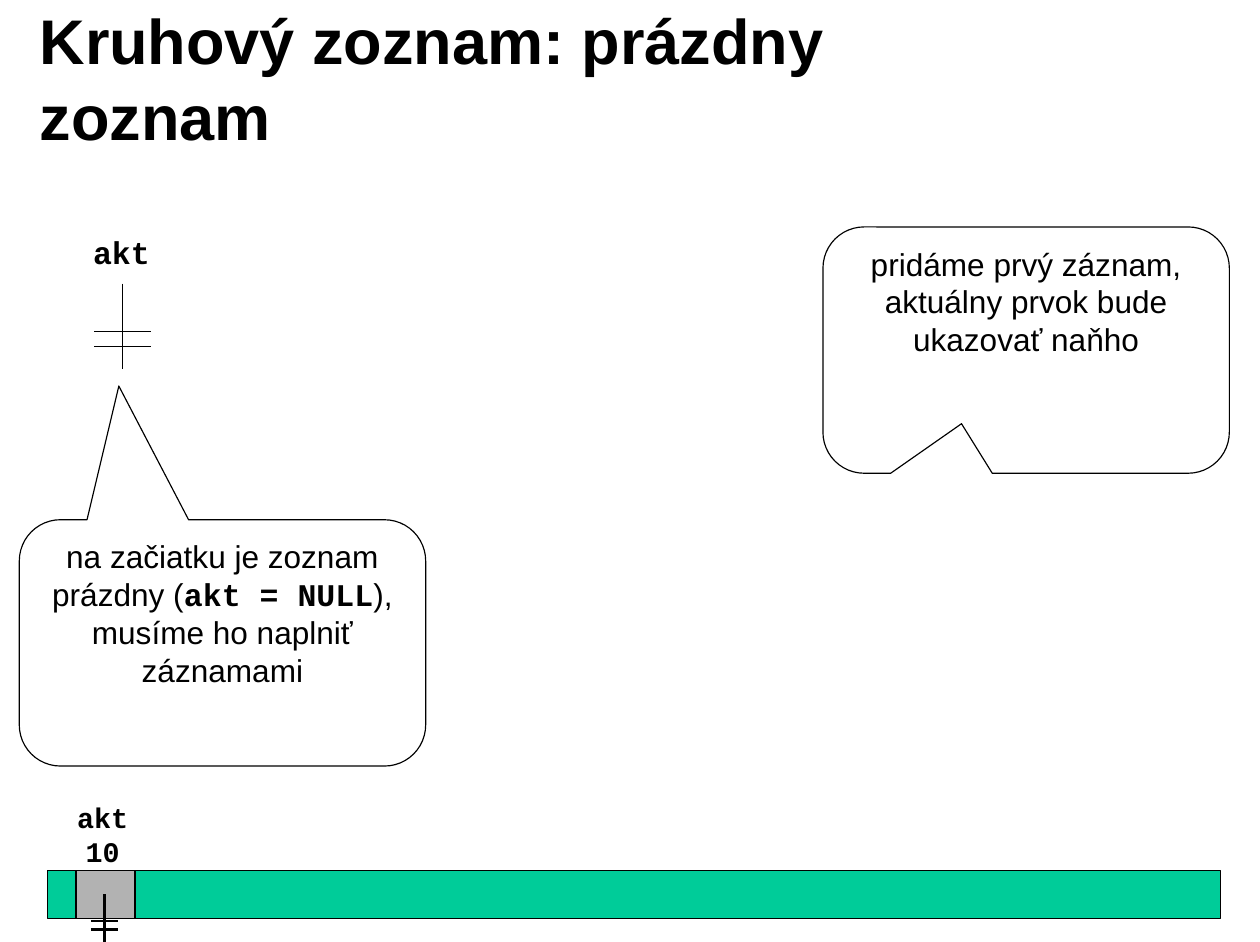
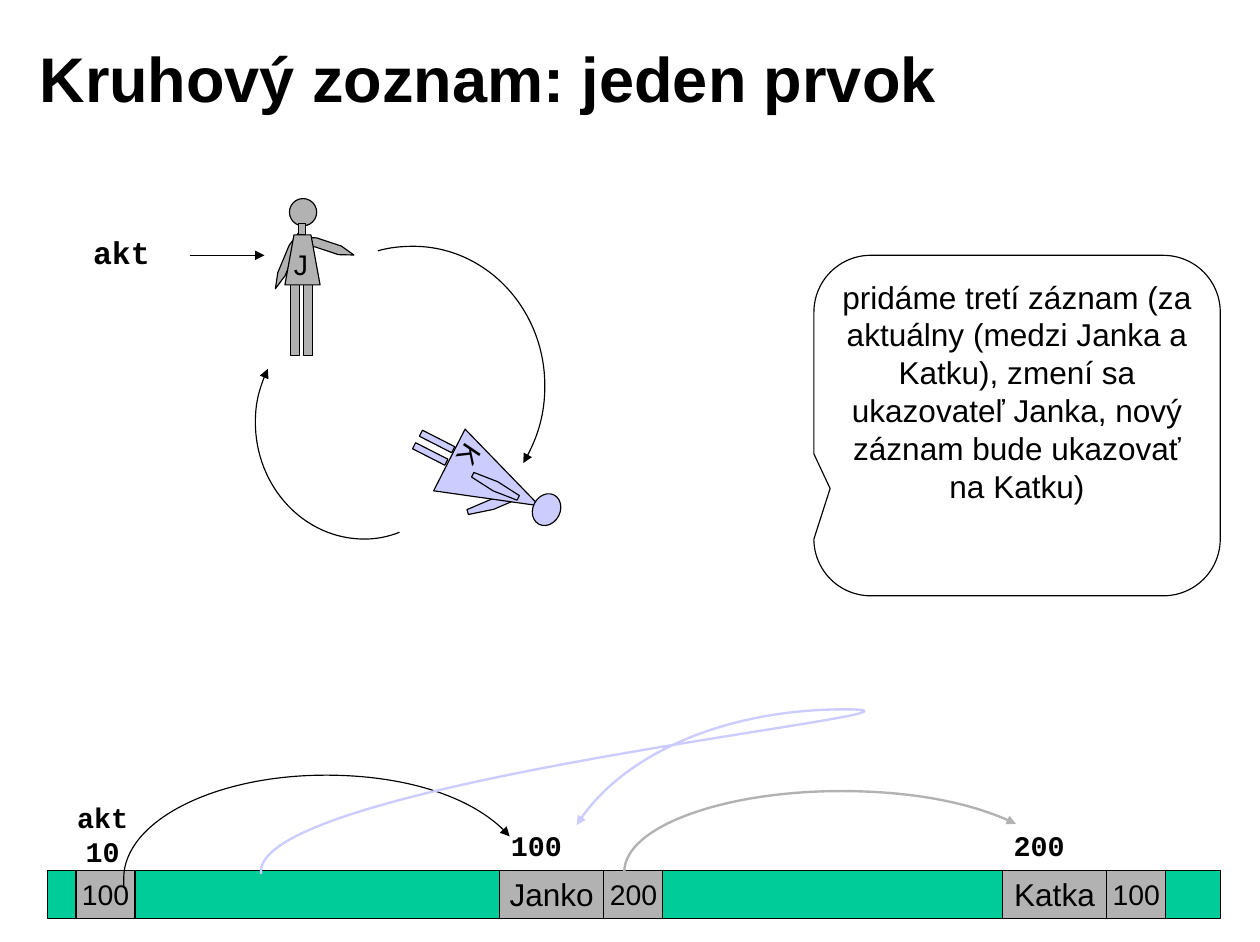
"""Builds two slides on a circular linked list and its memory layout."""
from pptx import Presentation, util as u
from pptx.dml.color import RGBColor
from pptx.enum import shapes as kinds, text
from pptx.oxml import ns, xmlchemy

COLORS = {"ink": "000000", "paper": "FFFFFF", "memory": "00CC99",
          "gray": "B2B2B2", "lavender": "CCCCFF"}
SANS, CODE = "Arial", "Courier New"
SHAPE = kinds.MSO_SHAPE
CELL_TOP, CELL_HEIGHT, NAME_WIDTH, LINK_WIDTH = 7.67, 0.42, 0.92, 0.52


def color(name):
    return RGBColor.from_string(COLORS[name])


def write(box, words, size=20, font=SANS, bold=False, wrap=True,
          align=text.PP_ALIGN.CENTER, anchor=text.MSO_ANCHOR.TOP):
    frame = box.text_frame
    frame.word_wrap = wrap
    frame.vertical_anchor = anchor
    for number, line in enumerate(words.split("\n")):
        para = frame.paragraphs[0] if number == 0 else frame.add_paragraph()
        para.alignment = align
        for index, piece in enumerate(line.split("`")):
            is_code = index % 2 == 1
            span = para.add_run()
            span.text = piece
            span.font.size = u.Pt(size)
            span.font.name = CODE if is_code else font
            span.font.bold = bold or is_code
            span.font.color.rgb = color("ink")


def outline(shape, ink="ink", weight=0.75, arrow=False):
    shape.line.color.rgb = color(ink)
    shape.line.width = u.Pt(weight)
    if arrow:
        end = xmlchemy.OxmlElement("a:tailEnd")
        end.set("type", "triangle")
        shape.element.spPr.get_or_add_ln().append(end)


def paint(shape, fill, turn=0):
    shape.shadow.inherit = False
    shape.fill.solid()
    shape.fill.fore_color.rgb = color(fill)
    shape.rotation = turn
    outline(shape)
    return shape


def add_part(host, kind, at, fill, turn=0, adjust=()):
    shape = host.shapes.add_shape(kind, *map(u.Inches, at))
    for index, value in enumerate(adjust):
        shape.adjustments[index] = value
    return paint(shape, fill, turn)


def add_text(host, at, words, turn=0, **style):
    box = host.shapes.add_textbox(*map(u.Inches, at))
    box.rotation = turn
    write(box, words, **style)
    return box


def add_label(host, at, words, size=18):
    add_text(host, at, words, size=size, font=CODE, bold=True, wrap=False)


def add_callout(page, at, tip, words):
    shape = add_part(page, SHAPE.ROUNDED_RECTANGULAR_CALLOUT, at, "paper",
                     adjust=(*tip, 0.167))
    write(shape, words)


def add_line(host, start, end, weight=0.75, arrow=False):
    line = host.shapes.add_connector(kinds.MSO_CONNECTOR.STRAIGHT,
                                     *map(u.Inches, (*start, *end)))
    outline(line, weight=weight, arrow=arrow)
    line.element.spPr.append(xmlchemy.OxmlElement("a:effectLst"))


def add_outline(host, points, close):
    corners = [tuple(map(u.Inches, point)) for point in points]
    builder = host.shapes.build_freeform(*corners[0])
    builder.add_line_segments(corners[1:], close=close)
    return builder.convert_to_shape()


def add_curve(page, points, ink="ink", weight=0.75):
    """Draw an arrow along cubic curves, three points after the start for each."""
    shape = add_outline(page, points, close=False)
    shape.shadow.inherit = False
    shape.fill.background()
    outline(shape, ink, weight, arrow=True)
    steps = list(shape.element.iter(ns.qn("a:lnTo")))
    for first in range(0, len(steps), 3):
        cubic = xmlchemy.OxmlElement("a:cubicBezTo")
        steps[first].addprevious(cubic)
        for step in steps[first:first + 3]:
            cubic.append(step[0])
            step.getparent().remove(step)


def add_null(page, x, top, bottom, reach, weight):
    sign = page.shapes.add_group_shape()
    add_line(sign, (x, top), (x, bottom), weight)
    for share in (0.56, 0.74):
        y = top + share * (bottom - top)
        add_line(sign, (x - reach, y), (x + reach, y), weight)


def add_cell(host, left, width, words="", size=18):
    cell = add_part(host, SHAPE.RECTANGLE, (left, CELL_TOP, width, CELL_HEIGHT), "gray")
    if words:
        write(cell, words, size=size, wrap=False, anchor=text.MSO_ANCHOR.MIDDLE)


def add_record(page, left, name, link, address):
    record = page.shapes.add_group_shape()
    add_cell(record, left, NAME_WIDTH, name, size=20)
    add_cell(record, left + NAME_WIDTH, LINK_WIDTH, link)
    add_label(record, (left, 7.25, 0.65, 0.4), address)


def add_page(deck, title, link=""):
    page = deck.slides.add_slide(deck.slide_layouts[6])
    add_text(page, (0.25, 0.17, 8.91, 1.02), title, size=40, bold=True,
             align=text.PP_ALIGN.LEFT, anchor=text.MSO_ANCHOR.MIDDLE)
    add_label(page, (0.72, 2, 0.7, 0.44), "akt", size=20)
    add_part(page, SHAPE.RECTANGLE, (0.42, CELL_TOP, 10.33, CELL_HEIGHT), "memory")
    add_cell(page, 0.67, LINK_WIDTH, link)
    add_label(page, (0.58, 7, 0.65, 0.7), "akt\n10")
    return page


def add_katka(page):
    figure = page.shapes.add_group_shape()
    for kind, at, turn in (
            (SHAPE.HEXAGON, (4.29, 4.22, 0.09, 0.45), 72.6),
            (SHAPE.ISOSCELES_TRIANGLE, (4.05, 3.81, 0.61, 0.89), 117),
            (SHAPE.HEXAGON, (4.32, 4.06, 0.09, 0.45), 117),
            (SHAPE.OVAL, (4.67, 4.37, 0.29, 0.24), 117),
            (SHAPE.RECTANGLE, (3.82, 3.73, 0.06, 0.32), 117),
            (SHAPE.RECTANGLE, (3.76, 3.84, 0.06, 0.32), 117)):
        add_part(figure, kind, at, "lavender", turn)
    add_text(page, (3.96, 3.81, 0.36, 0.4), "K", turn=124, size=18, wrap=False)


def add_janko(page):
    figure = page.shapes.add_group_shape()
    add_part(figure, SHAPE.HEXAGON, (2.26, 2.26, 0.54, 0.07), "gray", 292.6, (1.99,))
    add_part(figure, SHAPE.HEXAGON, (2.64, 2.13, 0.49, 0.08), "gray", 18.3, (1.62,))
    add_part(figure, SHAPE.OVAL, (2.55, 1.75, 0.24, 0.24), "gray")
    for leg in (2.56, 2.67):
        add_part(figure, SHAPE.RECTANGLE, (leg, 2.46, 0.08, 0.67), "gray")
    add_part(figure, SHAPE.RECTANGLE, (2.63, 1.97, 0.06, 0.1), "gray")
    body = [(2.51, 2.51), (2.59, 2.07), (2.74, 2.07), (2.82, 2.51)]
    paint(add_outline(figure, body, close=True), "gray")
    add_text(page, (2.49, 2.13, 0.32, 0.4), "J", size=18, wrap=False)


def build_empty_list(deck):
    page = add_page(deck, "Kruhový zoznam: prázdny zoznam")
    add_null(page, 1.08, 2.5, 3.25, reach=0.25, weight=0.75)
    add_null(page, 0.92, 7.88, 8.3, reach=0.12, weight=1.5)
    add_callout(page, (0.17, 4.58, 3.58, 2.17), (-0.255, -1.043),
                "na začiatku je zoznam prázdny (`akt = NULL`), "
                "musíme ho naplniť záznamami")
    add_callout(page, (7.25, 2, 3.58, 2.17), (-0.159, 0.299),
                "pridáme prvý záznam, aktuálny prvok bude ukazovať naňho")


def build_linked_list(deck):
    page = add_page(deck, "Kruhový zoznam: jeden prvok", link="100")
    add_katka(page)
    add_janko(page)
    add_line(page, (1.67, 2.25), (2.33, 2.25), arrow=True)
    add_record(page, 4.4, "Janko", "200", "100")
    add_record(page, 8.83, "Katka", "100", "200")
    add_curve(page, [(1.09, 7.82), (1.09, 7.8), (1.09, 7.77), (1.09, 7.74),
                     (1.09, 7.24), (1.88, 6.83), (2.87, 6.83),
                     (3.57, 6.83), (4.21, 7.04), (4.49, 7.37)])
    add_curve(page, [(5.51, 7.75), (5.51, 7.73), (5.5, 7.7), (5.5, 7.68),
                     (5.5, 7.29), (6.36, 6.97), (7.41, 6.97),
                     (8.02, 6.97), (8.59, 7.08), (8.95, 7.26)], "gray", 1.5)
    add_curve(page, [(3.52, 4.69), (3.42, 4.73), (3.32, 4.75), (3.21, 4.75),
                     (2.68, 4.75), (2.25, 4.29), (2.25, 3.72),
                     (2.25, 3.56), (2.29, 3.4), (2.36, 3.25)])
    add_curve(page, [(3.33, 2.21), (3.43, 2.18), (3.54, 2.17), (3.64, 2.17),
                     (4.28, 2.17), (4.8, 2.72), (4.8, 3.4),
                     (4.8, 3.64), (4.73, 3.88), (4.61, 4.08)])
    add_curve(page, [(2.3, 7.7), (2.19, 6.88), (8.76, 6.25), (7.44, 6.25),
                     (6.4, 6.25), (5.46, 6.66), (5.08, 7.27)], "lavender", 1.5)
    add_callout(page, (7.17, 2.25, 3.58, 3), (-0.46, 0.185),
                "pridáme tretí záznam (za aktuálny (medzi Janka a Katku), zmení sa "
                "ukazovateľ Janka, nový záznam bude ukazovať na Katku)")


def main():
    deck = Presentation()
    deck.slide_width, deck.slide_height = u.Inches(11.1), u.Inches(8.3)
    build_empty_list(deck)
    build_linked_list(deck)
    deck.save("out.pptx")


if __name__ == "__main__":
    main()
